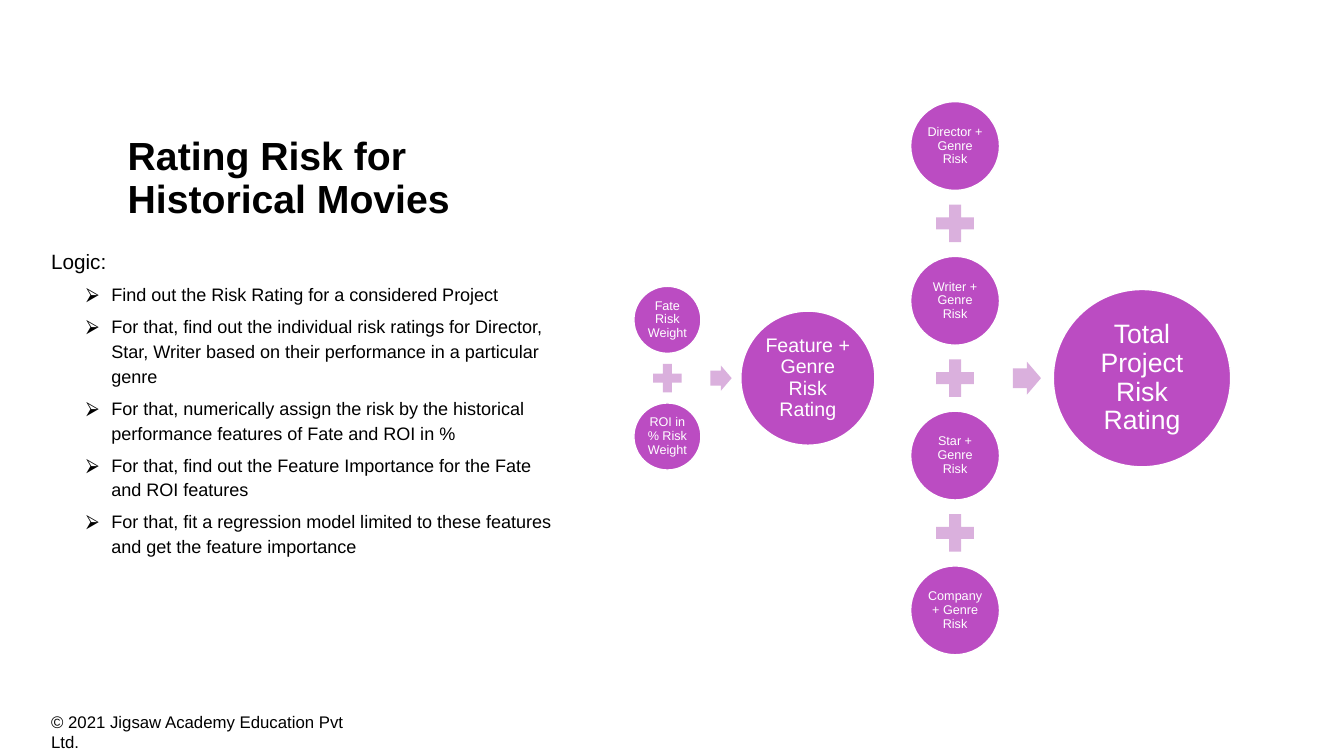
"""Build the slide on rating risk for historical movies."""
from dataclasses import dataclass

from lxml import etree
from pptx import Presentation
from pptx.dml.color import RGBColor
from pptx.enum.shapes import MSO_SHAPE
from pptx.enum.text import MSO_ANCHOR, PP_ALIGN
from pptx.oxml.ns import qn
from pptx.util import Cm, Pt

CIRCLE, PLUS, ARROW = MSO_SHAPE.OVAL, MSO_SHAPE.MATH_PLUS, MSO_SHAPE.RIGHT_ARROW
TOP, MIDDLE, BOTTOM = MSO_ANCHOR.TOP, MSO_ANCHOR.MIDDLE, MSO_ANCHOR.BOTTOM
CENTER = PP_ALIGN.CENTER


@dataclass(frozen=True)
class Theme:
    font: str = "Arial"
    ink: RGBColor = RGBColor(0x00, 0x00, 0x00)
    paper: RGBColor = RGBColor(0xFF, 0xFF, 0xFF)
    circle: RGBColor = RGBColor(0xBB, 0x4C, 0xC2)
    operator: RGBColor = RGBColor(0xDA, 0xB0, 0xDD)
    title_size: float = 28
    lead_size: float = 14.8
    body_size: float = 12.9
    footer_size: float = 12
    factor_size: float = 9
    feature_size: float = 14
    total_size: float = 19


theme = Theme()
deck = Presentation()
deck.slide_width, deck.slide_height = Cm(33.87), Cm(19.05)
page = deck.slides.add_slide(deck.slide_layouts[6])


def write(para, text, size, color, spacing, bold=False):
    para.line_spacing = spacing
    span = para.add_run()
    span.text = text
    span.font.name = theme.font
    span.font.size = Pt(size)
    span.font.bold = bold
    span.font.color.rgb = color


def draw(kind, x, y, width, height, text="", size=0):
    shape = page.shapes.add_shape(
        kind, Cm(x - width / 2), Cm(y - height / 2), Cm(width), Cm(height)
    )
    shape.shadow.inherit = False
    shape.fill.solid()
    shape.fill.fore_color.rgb = theme.circle if text else theme.operator
    if not text:
        shape.line.fill.background()
        return shape
    shape.line.color.rgb = theme.paper
    shape.line.width = Pt(1)
    frame = shape.text_frame
    frame.word_wrap = True
    frame.vertical_anchor = MIDDLE
    frame.margin_left = frame.margin_right = Cm(0.04)
    frame.margin_top = frame.margin_bottom = Cm(0.04)
    para = frame.paragraphs[0]
    para.alignment = CENTER
    write(para, text, size, theme.paper, 0.9)
    return shape


frames = []
for left, top, width, height, anchor in [
    (1.04, 17.8, 7.95, 0.76, TOP),
    (2.97, 2.18, 10.29, 3.53, BOTTOM),
    (1.04, 6.05, 13.36, 10.44, TOP),
]:
    box = page.shapes.add_textbox(Cm(left), Cm(top), Cm(width), Cm(height))
    box.text_frame.word_wrap = True
    box.text_frame.vertical_anchor = anchor
    frames.append(box.text_frame)
footer, title, logic = frames

write(footer.paragraphs[0], "© 2021 Jigsaw Academy Education Pvt Ltd.",
      theme.footer_size, theme.ink, 1.0)
write(title.paragraphs[0], "Rating Risk for Historical Movies",
      theme.title_size, theme.ink, 0.9, True)
write(logic.paragraphs[0], "Logic:", theme.lead_size, theme.ink, 1.15)

for step in [
    "Find out the Risk Rating for a considered Project",
    "For that, find out the individual risk ratings for Director, Star, Writer "
    "based on their performance in a particular genre",
    "For that, numerically assign the risk by the historical performance "
    "features of Fate and ROI in %",
    "For that, find out the Feature Importance for the Fate and ROI features",
    "For that, fit a regression model limited to these features and get the "
    "feature importance",
]:
    para = logic.add_paragraph()
    para.level = 1
    para.space_before = Pt(5)
    properties = para._p.get_or_add_pPr()
    properties.set("marL", str(Cm(1.52)))
    properties.set("indent", str(Cm(-0.64)))
    etree.SubElement(properties, qn("a:buFont")).set("typeface", theme.font)
    etree.SubElement(properties, qn("a:buChar")).set("char", "⮚")
    write(para, step, theme.body_size, theme.ink, 1.15)

axis = 9.53
columns = [
    (16.82, 1.47, 1.69, 0.98, ["Fate Risk Weight", "ROI in % Risk Weight"]),
    (24.07, 1.95, 2.24, 1.29, ["Director + Genre Risk", "Writer + Genre Risk",
                               "Star + Genre Risk", "Company + Genre Risk"]),
]
for x, pitch, circle_size, plus_size, labels in columns:
    first = axis - pitch * (len(labels) - 1)
    for index, label in enumerate(labels):
        y = first + 2 * pitch * index
        if index:
            plus = draw(PLUS, x, y - pitch, plus_size, plus_size)
            plus.adjustments[0] = 0.235
        draw(CIRCLE, x, y, circle_size, circle_size, label, theme.factor_size)

results = [
    (18.17, 0.54, 0.63, 20.36, 3.38, "Feature + Genre Risk Rating", theme.feature_size),
    (25.88, 0.71, 0.83, 28.78, 4.47, "Total Project Risk Rating", theme.total_size),
]
for arrow_x, arrow_width, arrow_height, x, diameter, label, size in results:
    arrow = draw(ARROW, arrow_x, axis, arrow_width, arrow_height)
    arrow.adjustments[0] = 0.6
    arrow.adjustments[1] = 0.5
    draw(CIRCLE, x, axis, diameter, diameter, label, size)

deck.save("out.pptx")
